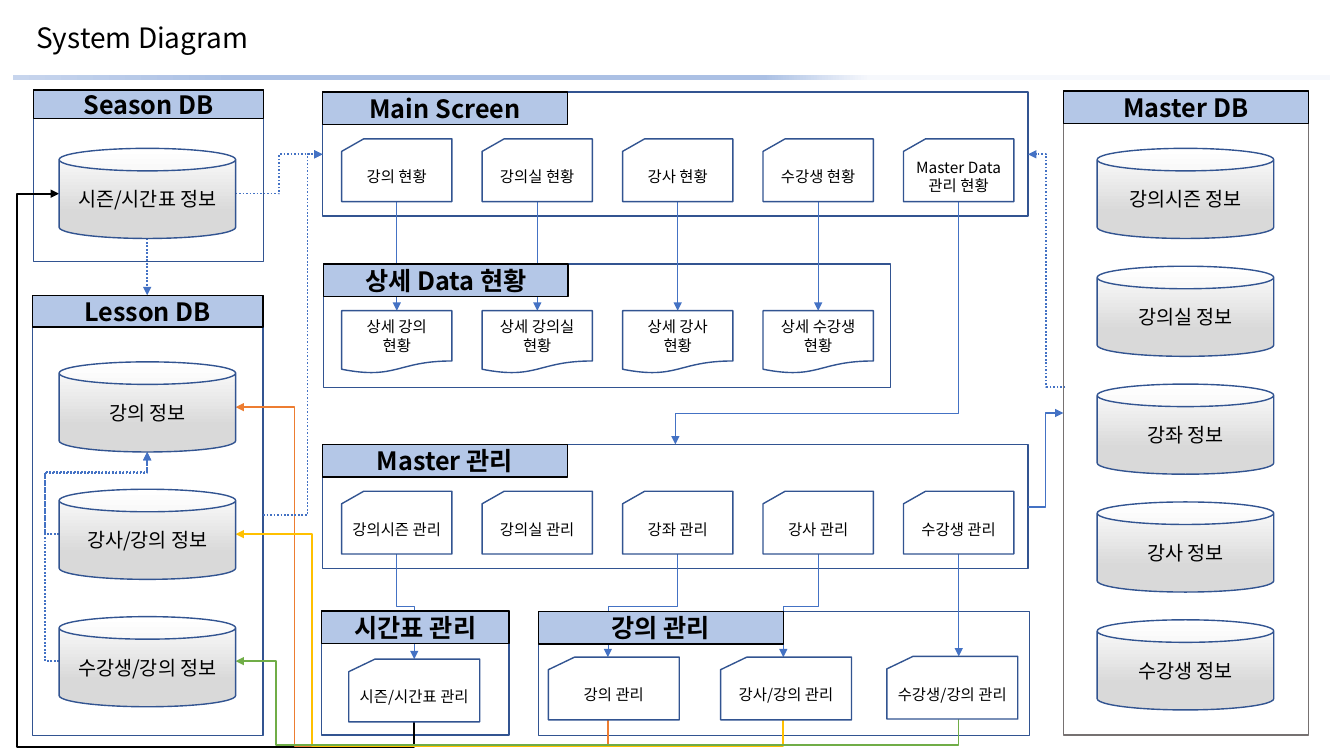
from lxml.etree import SubElement
from pptx import Presentation
from pptx.dml.color import RGBColor
from pptx.enum.dml import MSO_LINE
from pptx.enum.shapes import MSO_CONNECTOR, MSO_SHAPE
from pptx.enum.text import MSO_ANCHOR, PP_ALIGN
from pptx.oxml import parse_xml
from pptx.oxml.ns import nsdecls, qn
from pptx.util import Cm, Pt

FONT = "Noto Sans CJK KR"
HUE = {
    "black": "000000", "white": "FFFFFF", "navy": "325491", "gray": "767171",
    "head": "B4C7E7", "blue": "4472C4", "orange": "ED7D31", "gold": "FFC000",
    "green": "70AD47", "silver": "D9D9D9", "pale": "F6F8FC", "sky": "ABC0E4",
    "mist": "C7D5ED",
}
CAN = [(0, "white"), (71, "silver"), (100, "silver")]
BAR = [(35, "pale"), (43, "sky"), (83, "sky"), (100, "mist")]
CARD = MSO_SHAPE.FLOWCHART_CARD
PAGE = MSO_SHAPE.FLOWCHART_DOCUMENT
COLS = [8.61 + 3.54 * i for i in range(5)]
MIDS = [x + 1.39 for x in COLS]

PANELS = [
    ("Master 관리", 8.13, 11.2, 17.78, 3.12, 6.17, 0.82),
    ("시간표 관리", 8.11, 15.4, 4.72, 3.12, 4.72, 0.82),
    ("Season DB", 0.84, 2.27, 5.81, 4.32, 5.81, 0.72),
    ("Lesson DB", 0.82, 7.44, 5.81, 11.1, 5.81, 0.8),
    ("강의 관리", 13.57, 15.41, 12.37, 3.12, 6.17, 0.82),
    ("Main Screen", 8.13, 2.32, 17.78, 3.12, 6.17, 0.82),
    ("상세 Data 현황", 8.15, 6.65, 14.3, 3.12, 6.17, 0.82),
    ("Master DB", 26.8, 2.29, 6.17, 16.23, 6.17, 0.82),
]
ROWS = [
    (CARD, 3.5, ["강의 현황", "강의실 현황", "강사 현황", "수강생 현황", "Master Data\n관리 현황"]),
    (PAGE, 7.83, ["상세 강의\n현황", "상세 강의실\n현황", "상세 강사\n현황", "상세 수강생\n현황"]),
    (CARD, 12.38, ["강의시즌 관리", "강의실 관리", "강좌 관리", "강사 관리", "수강생 관리"]),
]
FORMS = [
    ("시즌/시간표 관리", 8.79, 16.61), ("강의 관리", 13.82, 16.56),
    ("강사/강의 관리", 18.16, 16.56), ("수강생/강의 관리", 22.35, 16.54),
]
STACKS = [
    (1.49, 3.74, 0, ["시즌/시간표 정보"]),
    (1.49, 9.12, 3.21, ["강의 정보", "강사/강의 정보", "수강생/강의 정보"]),
    (27.65, 3.74, 2.97, ["강의시즌 정보", "강의실 정보", "강좌 정보", "강사 정보", "수강생 정보"]),
]
DOWNS = [
    ((MIDS[0], 13.96), (10.44, 16.61), [15.29], "blue", 0.5),
    ((MIDS[2], 13.96), (15.32, 16.56), [15.27], "blue", 0.5),
    ((MIDS[3], 13.96), (19.74, 16.56), [15.27], "blue", 0.5),
    ((MIDS[4], 5.08), (17.02, 11.2), [10.41], "blue", 0.5),
    ((10.44, 18.19), (1.49, 4.88), [18.82, 0.43], "black", 1.25),
    ((15.32, 18.14), (5.94, 10.26), [18.8, 7.42], "orange", 1.25),
    ((19.74, 18.14), (5.94, 13.46), [18.8, 7.87], "gold", 1.25),
    ((MIDS[4], 18.12), (5.94, 16.66), [18.77, 6.96], "green", 1.25),
]
SIDES = [
    ((1.49, 16.66), (3.71, 11.39), [1.14, 11.91], True),
    ((1.49, 13.46), (3.71, 11.39), [1.14, 11.89], True),
    ((25.91, 12.78), (26.8, 10.41), [26.35], False),
    ((26.85, 9.75), (25.91, 3.89), [26.37], True),
    ((5.94, 4.88), (8.13, 3.89), [7.04], True),
    ((6.63, 12.98), (8.13, 3.89), [7.75], True),
]


def color(name):
    return RGBColor.from_string(HUE[name])


def write(frame, text, size, bold=False, align=PP_ALIGN.CENTER):
    frame.word_wrap = True
    frame.vertical_anchor = MSO_ANCHOR.MIDDLE
    for i, part in enumerate(text.split("\n")):
        para = frame.add_paragraph() if i else frame.paragraphs[0]
        para.alignment = align
        run = para.add_run()
        run.text = part
        font = run.font
        font.size, font.bold, font.name = Pt(size), bold, FONT
        font.color.rgb = color("black")
        SubElement(font._element, qn("a:ea")).set("typeface", FONT)


def blend(shape, stops, angle):
    marks = "".join(
        f'<a:gs pos="{pos * 1000}"><a:srgbClr val="{HUE[name]}"/></a:gs>'
        for pos, name in stops)
    fill = parse_xml(
        f'<a:gradFill {nsdecls("a")} rotWithShape="1"><a:gsLst>{marks}</a:gsLst>'
        f'<a:lin ang="{angle * 60000}" scaled="0"/></a:gradFill>')
    shape._element.spPr.find(qn("a:prstGeom")).addnext(fill)


def box(slide, kind, x, y, w, h, fill=None, edge=None):
    shape = slide.shapes.add_shape(kind, Cm(x), Cm(y), Cm(w), Cm(h))
    shape.shadow.inherit = False
    if fill:
        shape.fill.solid()
        shape.fill.fore_color.rgb = color(fill)
    if edge:
        shape.line.color.rgb = color(edge)
        shape.line.width = Pt(1)
    else:
        shape.line.fill.background()
    return shape


def card(slide, kind, text, x, y, w=2.78):
    frame = box(slide, kind, x, y, w, 1.58, "white", "navy").text_frame
    frame.margin_left = frame.margin_right = Cm(0.1)
    write(frame, text, 11)


def can(slide, text, x, y):
    shape = box(slide, MSO_SHAPE.CAN, x, y, 4.45, 2.27, edge="navy")
    blend(shape, CAN, 90)
    write(shape.text_frame, text, 14)


def link(slide, kind, start, end, hue, width, dots=False):
    line = slide.shapes.add_connector(kind, *[Cm(v) for v in start + end])
    line.line.color.rgb = color(hue)
    line.line.width = Pt(width)
    if dots:
        line.line.dash_style = MSO_LINE.ROUND_DOT
    SubElement(line.line._get_or_add_ln(), qn("a:tailEnd")).set("type", "triangle")
    SubElement(line._element.spPr, qn("a:effectLst"))
    return line


def elbow(slide, start, end, turns, hue, width, dots=False, down=False):
    (x, y), (dx, dy) = start, (end[0] - start[0], end[1] - start[1])
    along, cross = ((y, dy), (x, dx)) if down else ((x, dx), (y, dy))
    w, h = abs(along[1]), abs(cross[1])
    left, top = x + dx / 2 - w / 2, y + dy / 2 - h / 2
    line = link(slide, MSO_CONNECTOR.ELBOW, (left, top), (left + w, top + h), hue, width, dots)
    props = line._element.spPr
    frame = props.find(qn("a:xfrm"))
    if down:
        frame.set("rot", "5400000")
    if along[1] < 0:
        frame.set("flipH", "1")
    if (cross[1] > 0) if down else (cross[1] < 0):
        frame.set("flipV", "1")
    geom = props.find(qn("a:prstGeom"))
    geom.set("prst", f"bentConnector{len(turns) + 2}")
    guides = geom.find(qn("a:avLst"))
    for i, (turn, (base, span)) in enumerate(zip(turns, (along, cross)), 1):
        guide = SubElement(guides, qn("a:gd"))
        guide.set("name", f"adj{i}" if len(turns) > 1 else "adj1")
        guide.set("fmla", f"val {round((turn - base) / span * 100000)}")


def title(slide):
    head = slide.shapes.title
    head.left, head.top, head.width, head.height = Cm(0.66), Cm(0.2), Cm(29.21), Cm(1.6)
    write(head.text_frame, "System Diagram", 20, align=PP_ALIGN.LEFT)
    head.text_frame.paragraphs[0].line_spacing = 0.9
    blend(box(slide, MSO_SHAPE.RECTANGLE, 0.33, 1.88, 33.2, 0.15), BAR, 180)


def lines(slide):
    for start, end, turns, hue, width in DOWNS:
        elbow(slide, start, end, turns, hue, width, down=True)
    for start, end, turns, dots in SIDES:
        elbow(slide, start, end, turns, "blue", 1.25, dots)
    for x in MIDS[:4]:
        link(slide, MSO_CONNECTOR.STRAIGHT, (x, 5.08), (x, 7.83), "blue", 0.5)
    link(slide, MSO_CONNECTOR.STRAIGHT, (MIDS[4], 13.96), (MIDS[4], 16.54), "blue", 0.5)
    link(slide, MSO_CONNECTOR.STRAIGHT, (3.71, 6.01), (3.71, 7.44), "blue", 1.25, True)


def main():
    deck = Presentation()
    deck.slide_width, deck.slide_height = Cm(33.87), Cm(19.05)
    slide = deck.slides.add_slide(deck.slide_layouts[5])
    title(slide)
    for name, x, y, w, h, *_ in PANELS:
        edge = "gray" if name == "Master DB" else "navy"
        box(slide, MSO_SHAPE.RECTANGLE, x, y, w, h, "white", edge)
    lines(slide)
    for name, x, y, _, _, w, h in PANELS:
        head = box(slide, MSO_SHAPE.RECTANGLE, x, y, w, h, "head", "black")
        write(head.text_frame, name, 18, True)
    for kind, y, names in ROWS:
        for x, name in zip(COLS, names):
            card(slide, kind, name, x, y)
    for name, x, y in FORMS:
        card(slide, CARD, name, x, y, 3.3)
    for x, y, step, names in STACKS:
        for i, name in enumerate(names):
            can(slide, name, x, y + i * step)
    deck.save("out.pptx")


main()
